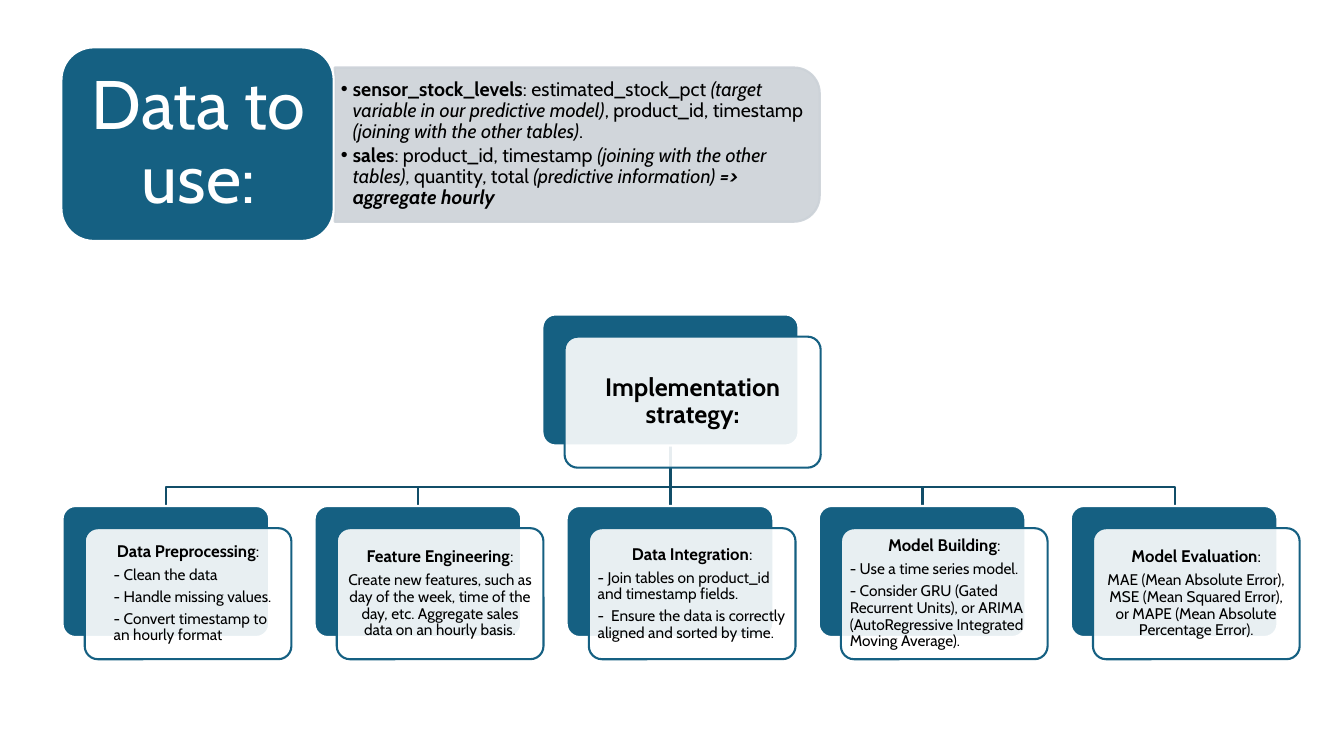
from pptx import Presentation
from pptx.dml.color import RGBColor
from pptx.enum.shapes import MSO_CONNECTOR, MSO_SHAPE
from pptx.enum.text import MSO_ANCHOR, MSO_AUTO_SIZE, PP_ALIGN
from pptx.oxml.ns import qn
from pptx.util import Inches, Pt
from lxml import etree

ROUNDED = MSO_SHAPE.ROUNDED_RECTANGLE
HALF_ROUNDED = MSO_SHAPE.ROUND_2_SAME_RECTANGLE
STRAIGHT = MSO_CONNECTOR.STRAIGHT
MIDDLE = MSO_ANCHOR.MIDDLE
NO_AUTOFIT = MSO_AUTO_SIZE.NONE
LEFT, CENTER = PP_ALIGN.LEFT, PP_ALIGN.CENTER

BLUE, DARK_BLUE, GRAY = "156082", "114D68", "CCD2D8"
WHITE, BLACK = "FFFFFF", "000000"


def rgb(value):
    return RGBColor.from_string(value)


def para(runs, size, align=LEFT, margin=0, indent=0, after=0.35, color=BLACK):
    """Describe a paragraph; each run is (text, flags), flags from 'b' and 'i'."""
    return {"runs": runs, "size": size, "align": align, "margin": margin,
            "indent": indent, "after": after, "color": color}


class StrategySlide:
    font = "Cabin"
    line_width = Pt(1.5)
    card_offset = 0.22

    def __init__(self, deck):
        self.slide = deck.slides.add_slide(deck.slide_layouts[1])
        self.shapes = self.slide.shapes

    def box(self, kind, place, fill, line, opacity=100, radius=None):
        shape = self.shapes.add_shape(kind, *map(Inches, place))
        shape.shadow.inherit = False
        shape.fill.solid()
        shape.fill.fore_color.rgb = rgb(fill)
        shape.line.color.rgb = rgb(line)
        shape.line.width = self.line_width
        if radius is not None:
            shape.adjustments[0] = radius
        if opacity < 100:
            for color in shape.element.spPr.iter(qn("a:srgbClr")):
                if color.get("val") == fill:
                    etree.SubElement(color, qn("a:alpha"), val=str(opacity * 1000))
        return shape

    def set_text(self, shape, paragraphs, inset_x, inset_y):
        frame = shape.text_frame
        settings = {"word_wrap": True, "auto_size": NO_AUTOFIT, "vertical_anchor": MIDDLE,
                    "margin_left": Inches(inset_x), "margin_right": Inches(inset_x),
                    "margin_top": Inches(inset_y), "margin_bottom": Inches(inset_y)}
        for name, value in settings.items():
            setattr(frame, name, value)
        for index, content in enumerate(paragraphs):
            paragraph = frame.add_paragraph() if index else frame.paragraphs[0]
            spacing = {"alignment": content["align"], "line_spacing": 0.9,
                       "space_before": Pt(0),
                       "space_after": Pt(content["size"] * content["after"])}
            for name, value in spacing.items():
                setattr(paragraph, name, value)
            properties = paragraph._p.get_or_add_pPr()
            properties.set("marL", str(Inches(content["margin"])))
            properties.set("indent", str(Inches(content["indent"])))
            for text, flags in content["runs"]:
                run = paragraph.add_run()
                run.text = text
                style = {"name": self.font, "size": Pt(content["size"]),
                         "bold": "b" in flags, "italic": "i" in flags}
                for name, value in style.items():
                    setattr(run.font, name, value)
                run.font.color.rgb = rgb(content["color"])

    def placeholder(self, holder, place, paragraphs, inset_x, inset_y):
        """Move a template placeholder to the front and fill it."""
        for name, value in zip(("left", "top", "width", "height"), place):
            setattr(holder, name, Inches(value))
        holder.element.getparent().append(holder.element)
        self.set_text(holder, paragraphs, inset_x, inset_y)

    def card(self, left, top, width, height, paragraphs, inset):
        self.box(ROUNDED, (left, top, width, height), BLUE, WHITE, radius=0.1)
        front = self.box(ROUNDED, (left + self.card_offset, top + self.card_offset, width, height),
                         WHITE, BLUE, opacity=90, radius=0.1)
        self.set_text(front, paragraphs, inset, inset)

    def branch(self, start_x, start_y, bend_y, end_x, end_y):
        if abs(start_x - end_x) < 0.01:
            line = self.shapes.add_connector(
                STRAIGHT, *map(Inches, (start_x, start_y, start_x, end_y)))
            line.line.color.rgb = rgb(DARK_BLUE)
            etree.SubElement(line.element.spPr, qn("a:effectLst"))
        else:
            builder = self.shapes.build_freeform(Inches(start_x), Inches(start_y))
            corners = [(start_x, bend_y), (end_x, bend_y), (end_x, end_y)]
            builder.add_line_segments([(Inches(x), Inches(y)) for x, y in corners], close=False)
            line = builder.convert_to_shape()
            line.fill.background()
            line.shadow.inherit = False
            line.line.color.rgb = rgb(DARK_BLUE)
        line.line.width = self.line_width


DATA_SOURCES = [
    [("sensor_stock_levels", "b"), (": estimated_stock_pct ", ""),
     ("(target variable in our predictive model)", "i"), (", product_id, timestamp ", ""),
     ("(joining with the other tables)", "i"), (".", "")],
    [("sales", "b"), (": product_id, timestamp ", ""),
     ("(joining with the other tables)", "i"), (", quantity, total ", ""),
     ("(predictive information) ", "i"), ("=> aggregate hourly", "bi")],
]

# Each step: heading, then (text, alignment, left margin, first-line indent)
STEPS = [
    ("Data Preprocessing", [
        ("- Clean the data", LEFT, 0, 0.2),
        ("- Handle missing values.", LEFT, 0, 0.2),
        ("- Convert timestamp to an hourly format", LEFT, 0.2, 0)]),
    ("Feature Engineering", [
        ("Create new features, such as day of the week, time of the day, etc. "
         "Aggregate sales data on an hourly basis.", CENTER, 0, 0)]),
    ("Data Integration", [
        ("- Join tables on product_id and timestamp fields.", LEFT, 0, 0),
        ("-  Ensure the data is correctly aligned and sorted by time.", LEFT, 0, 0)]),
    ("Model Building", [
        ("- Use a time series model.", LEFT, 0, 0),
        ("- Consider GRU (Gated Recurrent Units), or ARIMA "
         "(AutoRegressive Integrated Moving Average).", LEFT, 0, 0)]),
    ("Model Evaluation", [
        ("MAE (Mean Absolute Error), MSE (Mean Squared Error), "
         "or MAPE (Mean Absolute Percentage Error).", CENTER, 0, 0)]),
]


def main():
    deck = Presentation()
    deck.slide_width, deck.slide_height = Inches(13.33), Inches(7.5)
    page = StrategySlide(deck)
    title, sources = page.shapes.title, page.slide.placeholders[1]

    # Data to use: panel with bullets, then title block
    panel = page.box(HALF_ROUNDED, (4.96, -0.97, 1.53, 4.81), GRAY, GRAY, opacity=90)
    panel.rotation = 90
    page.placeholder(sources, (3.32, 0.74, 4.73, 1.38),
                     [para(runs, 14, margin=0.12, indent=-0.12, after=0.15)
                      for runs in DATA_SOURCES], 0.06, 0.03)
    page.box(ROUNDED, (0.61, 0.47, 2.7, 1.92), BLUE, WHITE)
    page.placeholder(title, (0.71, 0.57, 2.52, 1.73),
                     [para([("Data to use:", "")], 49, CENTER, color=WHITE)], 0.2, 0.1)

    # Branches of the strategy tree
    step_lefts = [0.62 + 2.5 * index for index in range(len(STEPS))]
    step_top, card_height = 5.02, 1.3
    for left in reversed(step_lefts):
        page.branch(6.65, 4.42, 4.83, left + 1.03, step_top)

    # Root card and step cards
    page.card(5.38, 3.12, 2.54, card_height,
              [para([("Implementation strategy:", "b")], 18, CENTER)], 0.07)
    for left, (heading, details) in zip(step_lefts, STEPS):
        lines = [para([(heading, "b"), (":", "")], 12, CENTER)]
        lines += [para([(text, "")], 11, align, margin, indent)
                  for text, align, margin, indent in details]
        page.card(left, step_top, 2.05, card_height, lines, 0.05)

    deck.save("out.pptx")


if __name__ == "__main__":
    main()
